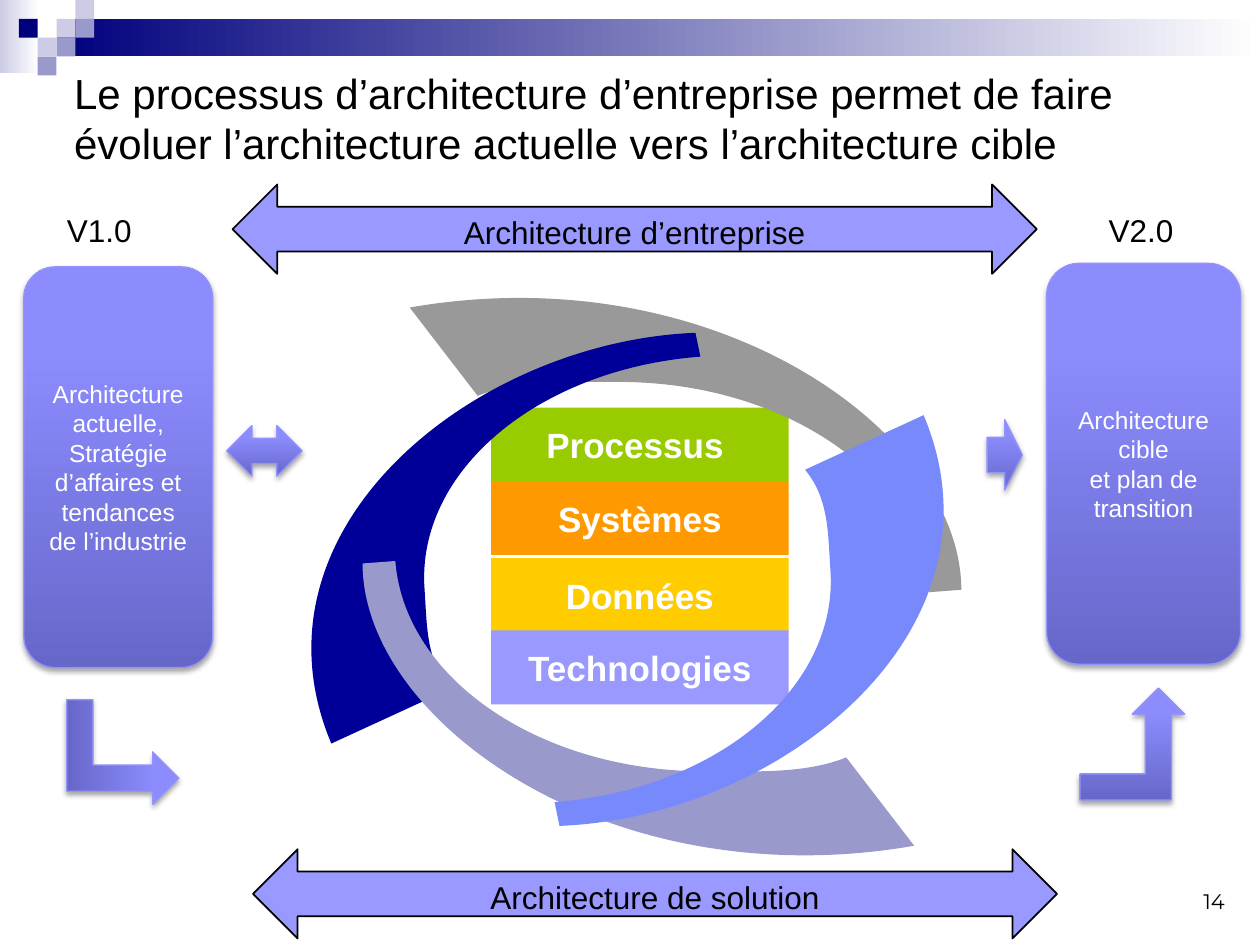
"""Build the slide on moving an enterprise architecture from V1.0 to V2.0."""
import copy

import lxml.etree
import pptx
import pptx.dml.color
import pptx.enum.shapes
import pptx.enum.text
import pptx.oxml.ns
import pptx.util

Cm = pptx.util.Cm
MSO = pptx.enum.shapes.MSO_SHAPE
ALIGN = pptx.enum.text.PP_ALIGN
ANCHOR = pptx.enum.text.MSO_ANCHOR
rgb = pptx.dml.color.RGBColor.from_string
qn = pptx.oxml.ns.qn


def paint(shape, stops, angle=0, line=None, line_width=0.75):
    shape.shadow.inherit = False
    if len(stops) == 1:
        shape.fill.solid()
        shape.fill.fore_color.rgb = rgb(stops[0][1])
    else:
        shape.fill.gradient()
        shape.fill.gradient_angle = angle
        stop_list = shape._element.spPr.find(".//" + qn("a:gsLst"))
        for _ in stops[2:]:
            stop_list.append(copy.deepcopy(stop_list[-1]))
        for stop, (position, colour) in zip(shape.fill.gradient_stops, stops):
            stop.position = position
            stop.color.rgb = rgb(colour)
    if line:
        shape.line.color.rgb = rgb(line)
        shape.line.width = pptx.util.Pt(line_width)
    else:
        shape.line.fill.background()


def write(shape, lines, size, colour, align=ALIGN.CENTER, anchor=ANCHOR.MIDDLE,
          bold=False, wrap=True, font="Arial"):
    frame = shape.text_frame
    frame.word_wrap = wrap
    frame.vertical_anchor = anchor
    frame.text = "\n".join(lines)
    for paragraph in frame.paragraphs:
        paragraph.alignment = align
        paragraph.font.name = font
        paragraph.font.size = pptx.util.Pt(size)
        paragraph.font.bold = bold
        paragraph.font.color.rgb = rgb(colour)


deck = pptx.Presentation()
deck.slide_width, deck.slide_height = Cm(25.4), Cm(19.05)
slide = deck.slides.add_slide(deck.slide_layouts[5])
shapes = slide.shapes

for left, top, width, height, start in [
    (0, 0, 0.79, 1.47, "CCCCE6"),
    (1.14, 0.38, 24.26, 0.76, "00007D"),
]:
    banner = shapes.add_shape(MSO.RECTANGLE, Cm(left), Cm(top), Cm(width), Cm(height))
    paint(banner, [(0, start), (1, "FFFFFF")])

tile = 0.38
for column, row, colour in [
    (3, 1, "CCCCE6"), (4, 0, "CCCCE6"), (4, 1, "9999CC"), (2, 2, "CCCCE6"),
    (1, 1, "00007D"), (3, 2, "9999CC"), (2, 3, "9999CC"),
]:
    square = shapes.add_shape(
        MSO.RECTANGLE, Cm(column * tile), Cm(row * tile), Cm(tile), Cm(tile))
    paint(square, [(0, colour)])

title = shapes.title
title.left, title.top, title.width, title.height = Cm(1.24), Cm(1.33), Cm(22.86), Cm(2.08)
write(title, ["Le processus d’architecture d’entreprise permet de faire "
              "évoluer l’architecture actuelle vers l’architecture cible"],
      24, "000000", ALIGN.LEFT)
title.text_frame.auto_size = pptx.enum.text.MSO_AUTO_SIZE.NONE

page_number = shapes.add_textbox(Cm(23.7), Cm(17.53), Cm(1.24), Cm(1.02))
write(page_number, ["14"], 12, "000000", ALIGN.RIGHT, ANCHOR.BOTTOM, font="Montserrat")

glossy = [(0, "6767CA"), (0.8, "8C8CFF"), (1, "8E8EFF")]
for kind, left, top, width, height, rotation, lines in [
    (MSO.ROUNDED_RECTANGLE, 0.48, 5.38, 3.81, 8.08, 0,
     ["Architecture actuelle, Stratégie d’affaires et tendances de l’industrie"]),
    (MSO.ROUNDED_RECTANGLE, 21.1, 5.31, 3.91, 8.08, 0,
     ["Architecture cible", "et plan de transition"]),
    (MSO.BENT_UP_ARROW, 21.77, 13.87, 2.11, 2.26, 0, []),
    (MSO.RIGHT_ARROW, 19.9, 8.46, 0.71, 1.42, 0, []),
    (MSO.BENT_UP_ARROW, 1.42, 14.03, 2.11, 2.26, 90, []),
    (MSO.LEFT_RIGHT_ARROW, 4.57, 8.58, 1.52, 1.02, 0, []),
]:
    step = shapes.add_shape(kind, Cm(left), Cm(top), Cm(width), Cm(height))
    step.rotation = rotation
    paint(step, glossy, 90, "9393FC")
    effects = step._element.spPr.find(qn("a:effectLst"))
    shadow = lxml.etree.SubElement(
        effects, qn("a:outerShdw"), blurRad="39400", dist="22900",
        dir="5400000", rotWithShape="0")
    shade = lxml.etree.SubElement(shadow, qn("a:srgbClr"), val="000000")
    lxml.etree.SubElement(shade, qn("a:alpha"), val="35000")
    if lines:
        write(step, lines, 14, "FFFFFF")

for layer, top, colour in [
    ("Systèmes", 9.7, "FF9900"), ("Processus ", 8.22, "99CC00"),
    ("Données", 11.25, "FFCC00"), ("Technologies", 12.71, "9999FF"),
]:
    band = shapes.add_shape(MSO.RECTANGLE, Cm(9.9), Cm(top), Cm(6), Cm(1.49))
    paint(band, [(0, colour)])
    write(band, [layer], 20, "FFFFFF", bold=True)

upper_blade = [
    [(18.72, 11.94)], [(19.38, 11.89)],
    [(19.38, 8.71), (14.4, 5.13), (8.26, 6.2)], [(9.63, 7.98)],
    [(10.46, 7.65), (11.43, 7.7), (12.47, 7.7)],
    [(15.82, 7.7), (18.54, 9.58), (18.72, 11.94)],
]
left_blade = [
    [(14.12, 7.19)], [(14.02, 6.71)],
    [(9.6, 6.88), (4.85, 10.64), (6.68, 14.99)], [(9.07, 13.89)],
    [(8.59, 13.31), (8.61, 12.62), (8.56, 11.89)],
    [(8.38, 9.5), (10.85, 7.44), (14.12, 7.19)],
]
lower_blade = [[(26.69, 23.25)], [(25.3, 23.36)]]
lower_blade, right_blade = [
    [[(across - x, down - y) for x, y in part] for part in blade]
    for blade, across, down in [
        (upper_blade, 26.69, 23.25), (left_blade, 25.3, 23.36)]
]
for blade, colour in [
    (upper_blade, "999999"), (left_blade, "000099"),
    (lower_blade, "9999CC"), (right_blade, "7889FB"),
]:
    corners = [(Cm(x), Cm(y)) for part in blade for x, y in part]
    builder = shapes.build_freeform(*corners[0])
    builder.add_line_segments(corners[1:], close=True)
    arc = builder.convert_to_shape()
    paint(arc, [(0, colour)])
    segments = iter(arc._element.spPr.findall(".//" + qn("a:lnTo")))
    for part in blade[1:]:
        pieces = [next(segments) for _ in part]
        if len(pieces) == 3:
            curve = pieces[0].makeelement(qn("a:cubicBezTo"))
            pieces[0].addprevious(curve)
            for piece in pieces:
                curve.append(piece[0])
                piece.getparent().remove(piece)

for version, left in [("V1.0", 1.1), ("V2.0", 22.1)]:
    label = shapes.add_textbox(Cm(left), Cm(4.13), Cm(2.21), Cm(1.02))
    write(label, [version], 18, "000000", ALIGN.LEFT, ANCHOR.TOP)

for scope, left, top in [
    ("Architecture d’entreprise", 4.69, 3.72),
    ("Architecture de solution", 5.1, 17.12),
]:
    span = shapes.add_shape(MSO.LEFT_RIGHT_ARROW, Cm(left), Cm(top), Cm(16.21), Cm(1.8))
    paint(span, [(0, "9999FF")], line="000000", line_width=1)
    write(span, [scope], 18, "000000", anchor=ANCHOR.TOP, wrap=False)

deck.save("out.pptx")
